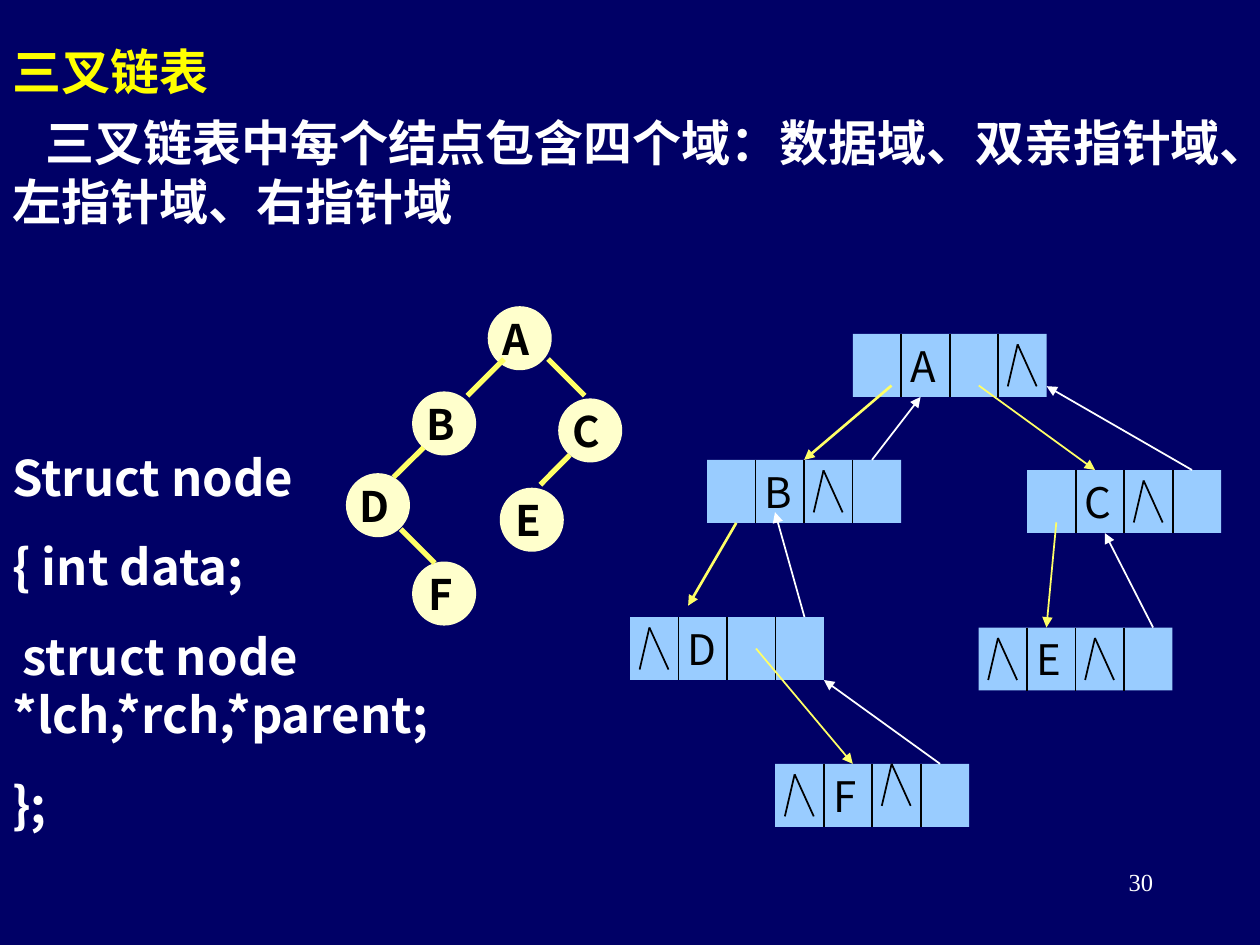
from dataclasses import dataclass

import pptx
import pptx.dml.color
import pptx.enum.shapes
import pptx.enum.text
import pptx.oxml.ns
import pptx.util
from lxml import etree

Pt = pptx.util.Pt
ALIGN = pptx.enum.text.PP_ALIGN
ANCHOR = pptx.enum.text.MSO_ANCHOR
SHAPE = pptx.enum.shapes.MSO_SHAPE


@dataclass(frozen=True)
class Theme:
    background: str = "000066"
    heading: str = "FFFF00"
    light: str = "FFFFFF"
    dark: str = "000000"
    circle: str = "FFFFCC"
    record: str = "99CCFF"
    link: str = "FFFF66"
    body_font: str = "Noto Sans CJK SC"
    number_font: str = "Times New Roman"
    body_size: int = 28
    label_size: int = 24
    number_size: int = 14


THEME = Theme()
CIRCLE_SIZE = 35.6
CELL_WIDTH = 27.7
RECORD_HEIGHT = 36

TREE_NODES = {"A": (279.2, 175.5), "B": (236, 224.2), "C": (319.5, 228.2),
              "D": (198.2, 270.9), "E": (286.1, 279.2), "F": (236, 321.4)}
TREE_EDGES = [(288, 205.2, 267.1, 226.1), (229, 302.4, 248.4, 321.8),
              (313.2, 205.2, 334.1, 226.1), (325.6, 260, 308.8, 277),
              (242, 255.8, 224.8, 272.8)]
RECORDS = {"A": (487.3, 190.8), "B": (404.1, 262.8), "C": (587, 268.6),
           "D": (360, 352.6), "E": (559.2, 358.6), "F": (443, 436.5)}
NULL_FIELDS = [("A", 3, 6), ("B", 2, 6), ("C", 2, 6), ("D", 0, 6),
               ("E", 0, 6), ("E", 2, 6), ("F", 0, 6), ("F", 2, 0)]
CHILD_POINTERS = [("A", 0.8, 0.82, "B", 2, 0, 1.5),
                  ("B", 0.6, 1, "D", 1.2, -0.18, 1.5),
                  ("D", 2.6, 0.5, "F", 1.6, 0, 1),
                  ("A", 2.6, 0.82, "C", 1.4, 0, 1),
                  ("C", 0.6, 0.83, "E", 1.4, 0, 1)]
PARENT_POINTERS = [("B", 3.4, 0, "A", 1.4, 1, 1),
                   ("D", 3.6, 0, "B", 1.4, 0.83, 1),
                   ("F", 3.4, 0, "D", 4, 1, 1),
                   ("E", 3.6, 0, "C", 1.6, 1, 1),
                   ("C", 3.4, 0, "A", 4, 0.83, 1)]


def rgb(color):
    return pptx.dml.color.RGBColor.from_string(color)


def apply_format(target, values):
    for name, value in values.items():
        setattr(target, name, value)


def add_run(paragraph, text, color, size, bold=False, font_name=THEME.body_font):
    run = paragraph.add_run()
    run.text = text
    apply_format(run.font, {"name": font_name, "size": Pt(size), "bold": bold})
    run.font.color.rgb = rgb(color)
    east_asian = etree.SubElement(run.font._element, pptx.oxml.ns.qn("a:ea"))
    east_asian.set("typeface", font_name)


def add_text_box(slide, box, frame_format):
    shape = slide.shapes.add_textbox(*map(Pt, box))
    apply_format(shape.text_frame, frame_format)
    return shape.text_frame


def add_text_block(slide, box, space_before, lines):
    frame = add_text_box(slide, box, {"word_wrap": True})
    for index, (text, color, indent) in enumerate(lines):
        paragraph = frame.add_paragraph() if index else frame.paragraphs[0]
        paragraph.space_before = Pt(space_before)
        if indent:
            paragraph._p.get_or_add_pPr().set("indent", str(Pt(indent)))
        add_run(paragraph, text, color, THEME.body_size, bold=True)


def add_shape(slide, kind, box, fill):
    shape = slide.shapes.add_shape(kind, *map(Pt, box))
    shape.shadow.inherit = False
    shape.fill.solid()
    shape.fill.fore_color.rgb = rgb(fill)
    shape.line.fill.background()
    return shape


def add_line(slide, start, end, color, width=1, arrow=False):
    connector = slide.shapes.add_connector(
        pptx.enum.shapes.MSO_CONNECTOR.STRAIGHT, *map(Pt, (*start, *end)))
    connector.line.width = Pt(width)
    connector.line.color.rgb = rgb(color)
    if arrow:
        tail = etree.SubElement(connector.line._get_or_add_ln(),
                                pptx.oxml.ns.qn("a:tailEnd"))
        tail.set("type", "triangle")
    etree.SubElement(connector._element.spPr, pptx.oxml.ns.qn("a:effectLst"))


def add_tree_node(slide, label, left, top):
    circle = add_shape(slide, SHAPE.OVAL, (left, top, CIRCLE_SIZE, CIRCLE_SIZE),
                       THEME.circle)
    circle.line.color.rgb = rgb(THEME.circle)
    circle.line.width = Pt(1)
    apply_format(circle.text_frame, {
        "margin_left": 0, "margin_right": Pt(4), "margin_top": 0,
        "margin_bottom": 0, "word_wrap": False, "vertical_anchor": ANCHOR.MIDDLE})
    paragraph = circle.text_frame.paragraphs[0]
    paragraph.alignment = ALIGN.CENTER
    add_run(paragraph, label, THEME.dark, THEME.label_size, bold=True)


def add_record(slide, label, left, top):
    add_shape(slide, SHAPE.RECTANGLE, (left, top, 4 * CELL_WIDTH, RECORD_HEIGHT),
              THEME.record)
    for column in range(1, 4):
        x = left + column * CELL_WIDTH
        add_line(slide, (x, top), (x, top + RECORD_HEIGHT), THEME.dark)
    frame = add_text_box(slide, (left + CELL_WIDTH - 2, top, 28.8, RECORD_HEIGHT),
                         {"word_wrap": False})
    frame.paragraphs[0].alignment = ALIGN.CENTER
    add_run(frame.paragraphs[0], label, THEME.dark, THEME.label_size)


def record_point(label, column, row):
    left, top = RECORDS[label]
    return left + column * CELL_WIDTH, top + row * RECORD_HEIGHT


def add_null_mark(slide, label, column, offset):
    left, top = record_point(label, column, 0)
    peak = (left + 11.1, top + offset)
    for foot in (5.5, 22):
        add_line(slide, (left + foot, top + offset + 24), peak, THEME.dark)


def add_pointers(slide, pointers, color):
    for source, column, row, target, end_column, end_row, width in pointers:
        add_line(slide, record_point(source, column, row),
                 record_point(target, end_column, end_row), color, width, arrow=True)


def main():
    presentation = pptx.Presentation()
    apply_format(presentation, {"slide_width": Pt(720), "slide_height": Pt(540)})
    slide = presentation.slides.add_slide(presentation.slide_layouts[6])
    slide.background.fill.solid()
    slide.background.fill.fore_color.rgb = rgb(THEME.background)

    number = add_text_box(slide, (516, 492, 150, 36), {"word_wrap": True})
    number.paragraphs[0].alignment = ALIGN.RIGHT
    add_run(number.paragraphs[0], "30", THEME.light, THEME.number_size,
            font_name=THEME.number_font)

    for label, position in TREE_NODES.items():
        add_tree_node(slide, label, *position)
    for edge in TREE_EDGES:
        add_line(slide, edge[:2], edge[2:], THEME.link, 3)

    add_text_block(slide, (0, 20, 720, 115), 7, [
        ("三叉链表", THEME.heading, 0),
        ("三叉链表中每个结点包含四个域：数据域、双亲指针域、左指针域、右指针域",
         THEME.light, 19)])
    add_text_block(slide, (0, 252, 360, 228), 17.5, [
        ("Struct node", THEME.light, 0),
        ("{ int data;", THEME.light, 0),
        ("struct node *lch,*rch,*parent;", THEME.light, 6),
        ("};", THEME.light, 0)])

    for label, position in RECORDS.items():
        add_record(slide, label, *position)
    add_pointers(slide, CHILD_POINTERS, THEME.link)
    for field in NULL_FIELDS:
        add_null_mark(slide, *field)
    add_pointers(slide, PARENT_POINTERS, THEME.light)
    presentation.save("out.pptx")


if __name__ == "__main__":
    main()
